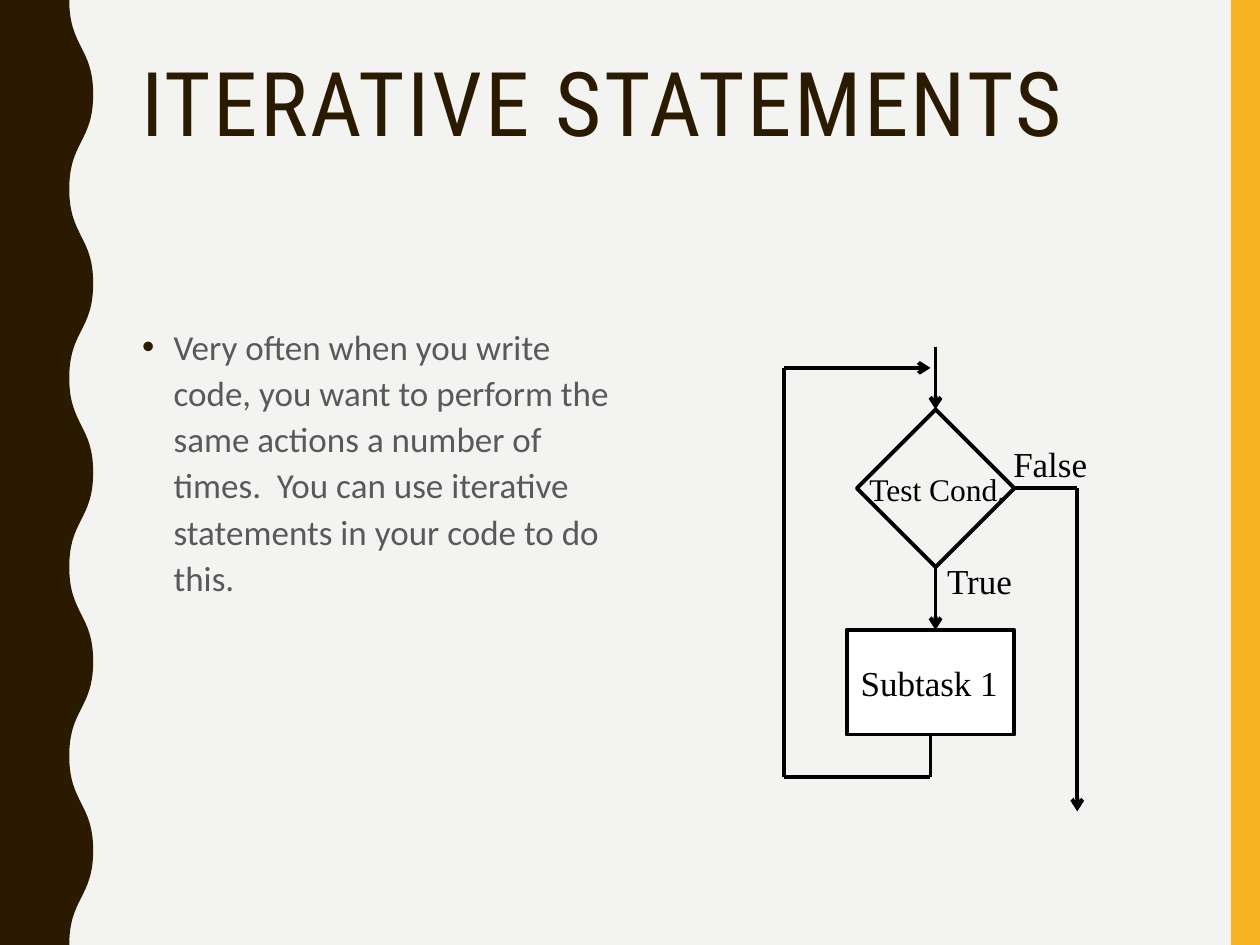
from dataclasses import dataclass

from lxml import etree
from pptx import Presentation
from pptx.dml.color import RGBColor
from pptx.enum.shapes import MSO_CONNECTOR, MSO_SHAPE
from pptx.enum.text import MSO_ANCHOR, MSO_AUTO_SIZE, PP_ALIGN
from pptx.oxml.ns import qn
from pptx.util import Inches, Pt

STRAIGHT = MSO_CONNECTOR.STRAIGHT
RECTANGLE, DIAMOND = MSO_SHAPE.RECTANGLE, MSO_SHAPE.DIAMOND
TOP = MSO_ANCHOR.TOP
LEFT, CENTER = PP_ALIGN.LEFT, PP_ALIGN.CENTER
FIXED, GROW = MSO_AUTO_SIZE.NONE, MSO_AUTO_SIZE.SHAPE_TO_FIT_TEXT
SIDE_TOP, SIDE_BOTTOM, SIDE_RIGHT = 0, 2, 3


@dataclass(frozen=True)
class Theme:
    paper: RGBColor = RGBColor(0xF3, 0xF3, 0xF2)
    brown: RGBColor = RGBColor(0x2A, 0x1A, 0x00)
    gold: RGBColor = RGBColor(0xF8, 0xB3, 0x23)
    gray: RGBColor = RGBColor(0x59, 0x59, 0x59)
    black: RGBColor = RGBColor(0, 0, 0)
    white: RGBColor = RGBColor(255, 255, 255)
    title_font: str = "Roboto Condensed"
    body_font: str = "Calibri"
    chart_font: str = "Times New Roman"
    title_size: Pt = Pt(51)
    body_size: Pt = Pt(20)
    small_size: Pt = Pt(18)
    stroke: Pt = Pt(2.25)


THEME = Theme()


def assign(target, values):
    for name, value in values.items():
        setattr(target, name, value)


def place(shape, box):
    names = ("left", "top", "width", "height")
    assign(shape, dict(zip(names, map(Inches, box))))


def write(shape, text, font, size, color, frame_format, para_format):
    frame = shape.text_frame
    assign(frame, frame_format)
    para = frame.paragraphs[0]
    assign(para, para_format)
    span = para.add_run()
    span.text = text
    assign(span.font, {"name": font, "size": size})
    span.font.color.rgb = color
    return para, span


def paint(shape, fill=None, line=None):
    shape.shadow.inherit = False
    if fill is None:
        shape.fill.background()
    else:
        shape.fill.solid()
        shape.fill.fore_color.rgb = fill
    if line is None:
        shape.line.fill.background()
    else:
        shape.line.color.rgb = line
        shape.line.width = THEME.stroke


def add_side_bar(page, box):
    bar = page.shapes.add_shape(RECTANGLE, *map(Inches, box))
    paint(bar, THEME.gold)


def bend(segment, start_x, start_y):
    """Turn a straight outline segment into an S curve with upright ends."""
    end = segment[0]
    end_x, end_y = int(end.get("x")), int(end.get("y"))
    middle_y = (start_y + end_y) // 2
    segment.tag = qn("a:cubicBezTo")
    for index, x in enumerate((start_x, end_x)):
        control = etree.Element(qn("a:pt"), x=str(x), y=str(middle_y))
        segment.insert(index, control)
    return end_x, end_y


def add_wave(page, box, trough=0.55, half_waves=10):
    """Fill the left edge, bounded by smooth half waves down the right side."""
    left, top, width, height = box
    rise = height / half_waves
    points = [(left + (width if index % 2 else trough), top + index * rise)
              for index in range(half_waves + 1)]
    points += [(left, top + height), (left, top)]
    corners = [(Inches(x), Inches(y)) for x, y in points]
    builder = page.shapes.build_freeform(*corners[0], scale=1.0)
    builder.add_line_segments(corners[1:], close=True)
    wave = builder.convert_to_shape()
    paint(wave, THEME.brown)
    segments = list(wave._element.iter(qn("a:lnTo")))[:half_waves]
    x, y = Inches(trough), 0
    for segment in segments:
        x, y = bend(segment, x, y)


def add_title(page, box):
    title = page.shapes.title
    place(title, box)
    _, span = write(
        title, "ITERATIVE STATEMENTS", THEME.title_font, THEME.title_size, THEME.brown,
        {"vertical_anchor": TOP, "word_wrap": True, "auto_size": FIXED},
        {"alignment": LEFT, "line_spacing": 0.9})
    span.font._element.set("spc", "150")


def add_body(page, box):
    body = page.shapes.add_textbox(*map(Inches, box))
    para, _ = write(
        body,
        "Very often when you write code, you want to perform the same actions "
        "a number of times.  You can use iterative statements in your code to do this.",
        THEME.body_font, THEME.body_size, THEME.gray,
        {"vertical_anchor": TOP, "word_wrap": True, "auto_size": FIXED},
        {"alignment": LEFT, "line_spacing": 1.1, "space_before": Pt(7)})
    properties = para._p.get_or_add_pPr()
    properties.set("marL", str(Inches(0.25)))
    properties.set("indent", str(-Inches(0.25)))
    bullet_color = etree.SubElement(properties, qn("a:buClr"))
    etree.SubElement(bullet_color, qn("a:srgbClr"), val=str(THEME.brown))
    etree.SubElement(properties, qn("a:buFont"), typeface="Arial")
    etree.SubElement(properties, qn("a:buChar"), char="•")


def add_line(group, start, end, arrow=False, begin_at=None, end_at=None):
    """Draw a line; begin_at and end_at are (shape, side) pairs to join."""
    line = group.shapes.add_connector(STRAIGHT, *map(Inches, start + end))
    if begin_at:
        line.begin_connect(*begin_at)
    if end_at:
        line.end_connect(*end_at)
    line.line.color.rgb = THEME.black
    line.line.width = THEME.stroke
    if arrow:
        etree.SubElement(line.line._get_or_add_ln(), qn("a:tailEnd"), type="arrow")
    etree.SubElement(line._element.spPr, qn("a:effectLst"))


def add_label(group, text, box, size):
    label = group.shapes.add_textbox(*map(Inches, box))
    write(label, text, THEME.chart_font, size, THEME.black,
          {"vertical_anchor": TOP, "word_wrap": False, "auto_size": GROW},
          {"alignment": CENTER})


def add_loop_chart(page, box):
    left, top, width, height = box
    group = page.shapes.add_group_shape()

    def at(x, y):
        return left + x, top + y

    test_left, test_top, test_side = 0.58, 0.5, 1.25
    task_left, task_top, task_width, task_height = 0.5, 2.25, 1.33, 0.83
    test_x, task_x = test_left + test_side / 2, task_left + task_width / 2
    test_bottom, task_bottom = test_top + test_side, task_top + task_height
    exit_x, exit_y = 2.33, test_top + test_side / 2
    loop_top, loop_bottom = 0.17, 3.42

    subtask = group.shapes.add_shape(
        RECTANGLE, *map(Inches, at(task_left, task_top) + (task_width, task_height)))
    paint(subtask, THEME.white, THEME.black)
    diamond = group.shapes.add_shape(
        DIAMOND, *map(Inches, at(test_left, test_top) + (test_side, test_side)))
    paint(diamond, line=THEME.black)

    add_line(group, at(test_x, 0), at(test_x, test_top), True,
             end_at=(diamond, SIDE_TOP))
    add_line(group, at(test_x, test_bottom), at(test_x, task_top), True,
             begin_at=(diamond, SIDE_BOTTOM))

    add_line(group, at(task_x, task_bottom), at(task_x, loop_bottom),
             begin_at=(subtask, SIDE_BOTTOM))
    add_line(group, at(task_x, loop_bottom), at(0, loop_bottom))
    add_line(group, at(0, loop_bottom), at(0, loop_top))
    add_line(group, at(0, loop_top), at(task_x, loop_top), True)

    add_line(group, at(test_left + test_side, exit_y), at(exit_x, exit_y),
             begin_at=(diamond, SIDE_RIGHT))
    add_line(group, at(exit_x, exit_y), at(exit_x, height), True)

    labels = (
        ("Subtask 1", at(0.51, 2.45) + (1.29, 0.43), THEME.body_size),
        ("Test Cond.", at(0.57, 0.93) + (1.3, 0.4), THEME.small_size),
        ("False", at(width - 0.79, 0.71) + (0.79, 0.43), THEME.body_size),
        ("True", at(1.19, 1.64) + (0.73, 0.43), THEME.body_size),
    )
    for label in labels:
        add_label(group, *label)


def main():
    deck = Presentation()
    deck.slide_width, deck.slide_height = Inches(10), Inches(7.5)
    page = deck.slides.add_slide(deck.slide_layouts.get_by_name("Title Only"))
    page.background.fill.solid()
    page.background.fill.fore_color.rgb = THEME.paper
    add_side_bar(page, (9.77, 0, 0.23, 7.5))
    add_wave(page, (0, 0, 0.74, 7.5))
    add_title(page, (1.02, 0.42, 8.35, 1.63))
    add_body(page, (1.03, 2.5, 3.97, 3.93))
    add_loop_chart(page, (6.22, 2.75, 2.51, 3.69))
    deck.save("out.pptx")


if __name__ == "__main__":
    main()
